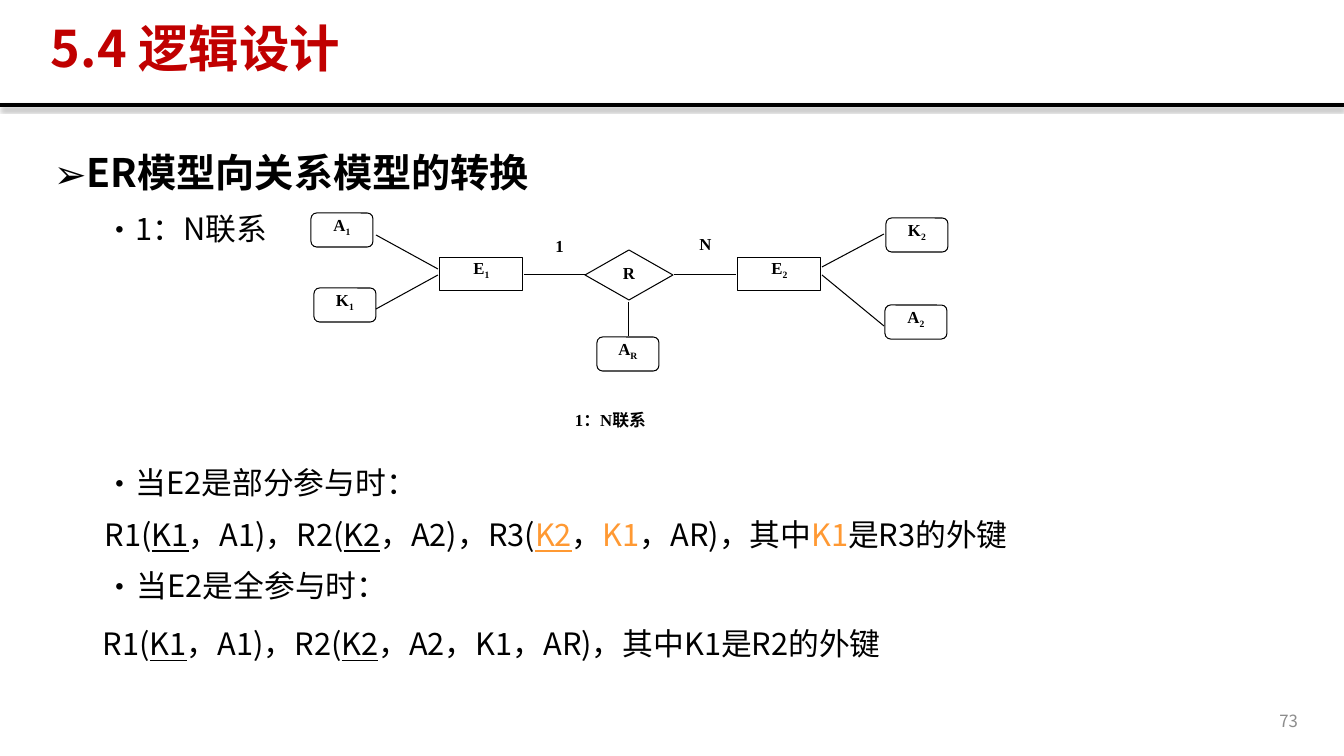
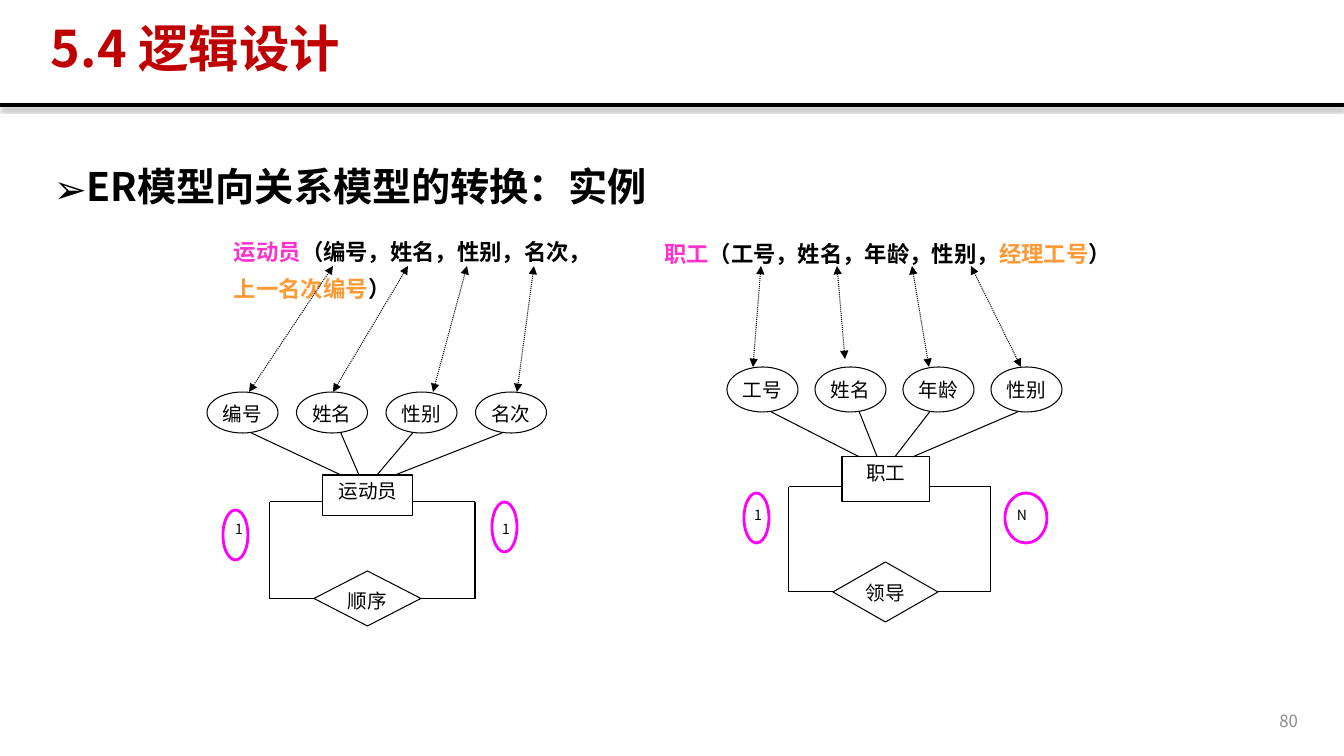
from lxml import etree
from pptx import Presentation
from pptx import util as u
from pptx.dml.color import RGBColor
from pptx.enum import dml, shapes, text
from pptx.oxml.ns import qn

BLACK = RGBColor(0, 0, 0)
WHITE = RGBColor(255, 255, 255)
RED = RGBColor(0xC0, 0, 0)
GRAY = RGBColor(0x8C, 0x8C, 0x8C)
ORANGE = RGBColor(0xFF, 0x99, 0x33)
PINK = RGBColor(0xFF, 0x33, 0xCC)
MAGENTA = RGBColor(0xFF, 0, 0xFF)
SANS, SERIF = "Noto Sans CJK SC", "Times New Roman"
PX = 914400 / 100.8
SHAPE = shapes.MSO_SHAPE
RECT, ROUND, DIAMOND, OVAL = (SHAPE.RECTANGLE, SHAPE.ROUNDED_RECTANGLE,
                              SHAPE.DIAMOND, SHAPE.OVAL)

# Content. Run marks: u underline, o orange, p pink, s subscript
TITLE = "5.4 逻辑设计"

# Body paragraphs: runs, size, bold, bullet, left px, hang px, space before pt
RULES_BODY = [
    ([("ER模型向关系模型的转换", "")], 28, True, "➢", 25, 25, 0),
    ([("1：N联系", "")], 22, False, "•", 76, 25, 5),
    ([("当E2是部分参与时：", "")], 22, False, "•", 76, 25, 150),
    ([("R1(", ""), ("K1", "u"), ("，A1)，R2(", ""), ("K2", "u"),
      ("，A2)，R3(", ""), ("K2", "uo"), ("，", ""), ("K1", "o"),
      ("，AR)，其中", ""), ("K1", "o"), ("是R3的外键", "")],
     22, False, None, 51, 0, 5),
    ([("当E2是全参与时：", "")], 22, False, "•", 83, 32, 5),
    ([("R1(", ""), ("K1", "u"), ("，A1)，R2(", ""), ("K2", "u"),
      ("，A2，K1，AR)，其中K1是R2的外键", "")],
     22, False, None, 49, 0, 10),
]
EXAMPLE_BODY = [
    ([("ER模型向关系模型的转换：实例", "")], 28, True, "➢", 25, 25, 0),
]

# 1:N diagram: sizes by kind, then (kind, left, top, letter, subscript)
NODE_SIZES = {RECT: (83, 33), DIAMOND: (88, 50), ROUND: (62, 34)}
NODES = [
    (RECT, 440, 258, "E", "1"), (RECT, 738, 258, "E", "2"),
    (DIAMOND, 585, 250, "R", ""),
    (ROUND, 311, 213, "A", "1"), (ROUND, 314, 288, "K", "1"),
    (ROUND, 597, 337, "A", "R"),
    (ROUND, 886, 218, "K", "2"), (ROUND, 885, 305, "A", "2"),
]
LABELS = [((549, 236, 21, 33), "1"), ((695, 234, 21, 33), "N"),
          ((367, 410, 487, 41), "1：N联系")]
LINKS = [
    (524, 275, 586, 275), (674, 275, 736, 275), (438, 269, 376, 235),
    (438, 275, 376, 309), (822, 267, 884, 234), (822, 275, 884, 326),
    (629, 302, 629, 336),
]

# Example diagrams: an entity with attributes and a relation to itself
TREES = [
    dict(schema=[("运动员", "p"), ("（编号，姓名，性别，名次，", ""),
                 ("上一名次编号", "o"), ("）", "")],
         schema_box=(234, 228, 360, 78),
         attributes=["编号", "姓名", "性别", "名次"],
         ovals=(207, 392, 71, 41), pitch=89.5,
         entity="运动员", entity_box=(323, 475, 90, 41),
         relation="顺序", relation_box=(314, 571, 107, 55),
         loop=(270, 502, 475, 599),
         roles="11", role_size=(44, 41), role_top=516,
         rings=[(223, 510, 25, 50), (492, 502, 25, 50)],
         arrows=[(333, 249, 392), (408, 333, 392),
                 (467, 433, 392), (534, 517, 392)]),
    dict(schema=[("职工", "p"), ("（工号，姓名，年龄，性别，", ""),
                 ("经理工号", "o"), ("）", "")],
         schema_box=(664, 230, 485, 50),
         attributes=["工号", "姓名", "年龄", "性别"],
         ovals=(727, 367, 71, 45), pitch=88,
         entity="职工", entity_box=(842, 457, 88, 45),
         relation="领导", relation_box=(833, 562, 105, 60),
         loop=(789, 487, 991, 592),
         roles="1N", role_size=(44, 45), role_top=502,
         rings=[(744, 493, 25, 50), (1005, 493, 42, 50)],
         arrows=[(761, 753, 367), (837, 845, 359),
                 (912, 929, 367), (971, 1021, 367)]),
]
ARROW_TOP = 266


# Helpers
def px(*values):
    return [u.Emu(round(v * PX)) for v in values]


def add_runs(p, runs, size, color=BLACK, bold=False, font=SANS):
    for words, marks in runs:
        r = p.add_run()
        r.text = words
        f = r.font
        f.size, f.bold, f.name = u.Pt(size), bold, font
        f.color.rgb = ORANGE if "o" in marks else PINK if "p" in marks else color
        if "u" in marks:
            f.underline = True
        rpr = r._r.get_or_add_rPr()
        if "s" in marks:
            rpr.set("baseline", "-25000")
        latin = rpr.find(qn("a:latin"))
        east = etree.Element(qn("a:ea"), typeface=SANS)
        latin.addnext(east)


def set_margins(tf, left=0, top=0, right=0, bottom=0):
    tf.word_wrap = True
    (tf.margin_left, tf.margin_top,
     tf.margin_right, tf.margin_bottom) = px(left, top, right, bottom)


def add_text(s, box, runs, size, **style):
    tf = s.shapes.add_textbox(*px(*box)).text_frame
    set_margins(tf)
    add_runs(tf.paragraphs[0], runs, size, **style)
    return tf


def add_node(s, kind, box, runs=(), size=14, line=BLACK, width=0.75,
             fill=WHITE, margins=(0, 0, 0, 0), **style):
    sp = s.shapes.add_shape(kind, *px(*box))
    sp.shadow.inherit = False
    if fill is None:
        sp.fill.background()
    else:
        sp.fill.solid()
        sp.fill.fore_color.rgb = fill
    if line is None:
        sp.line.fill.background()
    else:
        sp.line.color.rgb = line
        sp.line.width = u.Pt(width)
    tf = sp.text_frame
    set_margins(tf, *margins)
    tf.vertical_anchor = text.MSO_ANCHOR.TOP
    p = tf.paragraphs[0]
    p.alignment = text.PP_ALIGN.CENTER
    add_runs(p, runs, size, **style)


def add_line(s, ends, width=0.75):
    line = s.shapes.add_connector(shapes.MSO_CONNECTOR.STRAIGHT, *px(*ends))
    line.line.color.rgb = BLACK
    line.line.width = u.Pt(width)
    effects = etree.SubElement(line._element.spPr, qn("a:effectLst"))
    return line, effects


def add_arrow(s, ends):
    line, _ = add_line(s, ends)
    line.line.dash_style = dml.MSO_LINE.ROUND_DOT
    ln = line.line._get_or_add_ln()
    for tag in ("a:headEnd", "a:tailEnd"):
        etree.SubElement(ln, qn(tag), type="triangle")


def add_body(s, paragraphs, spacing):
    tf = s.shapes.add_textbox(*px(54, 139, 1243, 537)).text_frame
    set_margins(tf)
    for i, (runs, size, bold, bullet, left, hang, before) in enumerate(paragraphs):
        p = tf.add_paragraph() if i else tf.paragraphs[0]
        ppr = p._p.get_or_add_pPr()
        margin, indent = px(left, -hang)
        ppr.set("marL", str(margin))
        ppr.set("indent", str(indent))
        if bullet:
            etree.SubElement(ppr, qn("a:buFont"), typeface=SANS)
            etree.SubElement(ppr, qn("a:buChar"), char=bullet)
        p.line_spacing = spacing
        p.space_before = u.Pt(before)
        add_runs(p, runs, size, bold=bold)


def new_slide(prs, number):
    s = prs.slides.add_slide(prs.slide_layouts[6])
    # Rule under the title, with a soft shadow
    _, effects = add_line(s, (0, 105, 1344, 105), 3)
    shadow = etree.SubElement(effects, qn("a:outerShdw"), blurRad=str(u.Pt(3.1)),
                              dist=str(u.Pt(1.8)), dir="5400000")
    color = etree.SubElement(shadow, qn("a:srgbClr"), val=str(BLACK))
    etree.SubElement(color, qn("a:alpha"), val="35000")
    # Title and page number
    tf = add_text(s, (51, 18, 1160, 66), [(TITLE, "")], 36, color=RED, bold=True)
    tf.vertical_anchor = text.MSO_ANCHOR.MIDDLE
    tf.paragraphs[0].line_spacing = 0.9
    tf = add_text(s, (1005, 701, 293, 40), [(str(number), "")], 12, color=GRAY)
    tf.vertical_anchor = text.MSO_ANCHOR.MIDDLE
    tf.paragraphs[0].alignment = text.PP_ALIGN.RIGHT
    return s


# Slide parts
def add_relation_diagram(s):
    style = dict(size=12, bold=True, font=SERIF)
    for box, words in LABELS:
        add_node(s, RECT, box, [(words, "")], line=None, **style)
    for kind, left, top, letter, sub in NODES:
        runs = [(letter, "")] + ([(sub, "s")] if sub else [])
        add_node(s, kind, (left, top, *NODE_SIZES[kind]), runs, **style)
    for ends in LINKS:
        add_line(s, ends)


def add_tree(s, tree):
    inset = (0, 4, 0, 0)
    left, top, w, h = tree["ovals"]
    ex, ey, ew, eh = tree["entity_box"]
    add_node(s, RECT, tree["entity_box"], [(tree["entity"], "")], margins=inset)
    # Attributes and their spokes to the entity
    for i, name in enumerate(tree["attributes"]):
        x = left + i * tree["pitch"]
        add_node(s, OVAL, (x, top, w, h), [(name, "")], margins=inset)
        start = x + w * (5 if i < 2 else 3) / 8
        add_line(s, (start, top + h, ex + ew * (i + 1) / 5, ey))
    # Relation looping back on both sides
    rx, ry, rw, rh = tree["relation_box"]
    add_node(s, DIAMOND, tree["relation_box"], [(tree["relation"], "")],
             margins=inset)
    x1, y1, x2, y2 = tree["loop"]
    for x, entity_x, relation_x in ((x1, ex, rx), (x2, ex + ew, rx + rw)):
        for ends in ((x, y1, entity_x, y1), (x, y1, x, y2),
                     (x, y2, relation_x, y2)):
            add_line(s, ends)
    # Cardinalities with rings
    for x, role in zip((x1 - 53, x2 + 9), tree["roles"]):
        add_node(s, RECT, (x, tree["role_top"], *tree["role_size"]),
                 [(role, "")], size=10, line=None, margins=(10, 5, 10, 5))
    for ring in tree["rings"]:
        add_node(s, OVAL, ring, line=MAGENTA, width=2, fill=None)
    # Schema and arrows to the attributes
    tf = add_text(s, tree["schema_box"], tree["schema"], 16, bold=True)
    tf.paragraphs[0].line_spacing = u.Pt(26.5)
    for x_from, x_to, y_to in tree["arrows"]:
        add_arrow(s, (x_from, ARROW_TOP, x_to, y_to))


def main():
    prs = Presentation()
    prs.slide_width, prs.slide_height = px(1344, 756)
    s = new_slide(prs, 73)
    add_body(s, RULES_BODY, 1.2)
    add_relation_diagram(s)
    s = new_slide(prs, 80)
    add_body(s, EXAMPLE_BODY, 1.5)
    for tree in TREES:
        add_tree(s, tree)
    prs.save("out.pptx")


if __name__ == "__main__":
    main()
